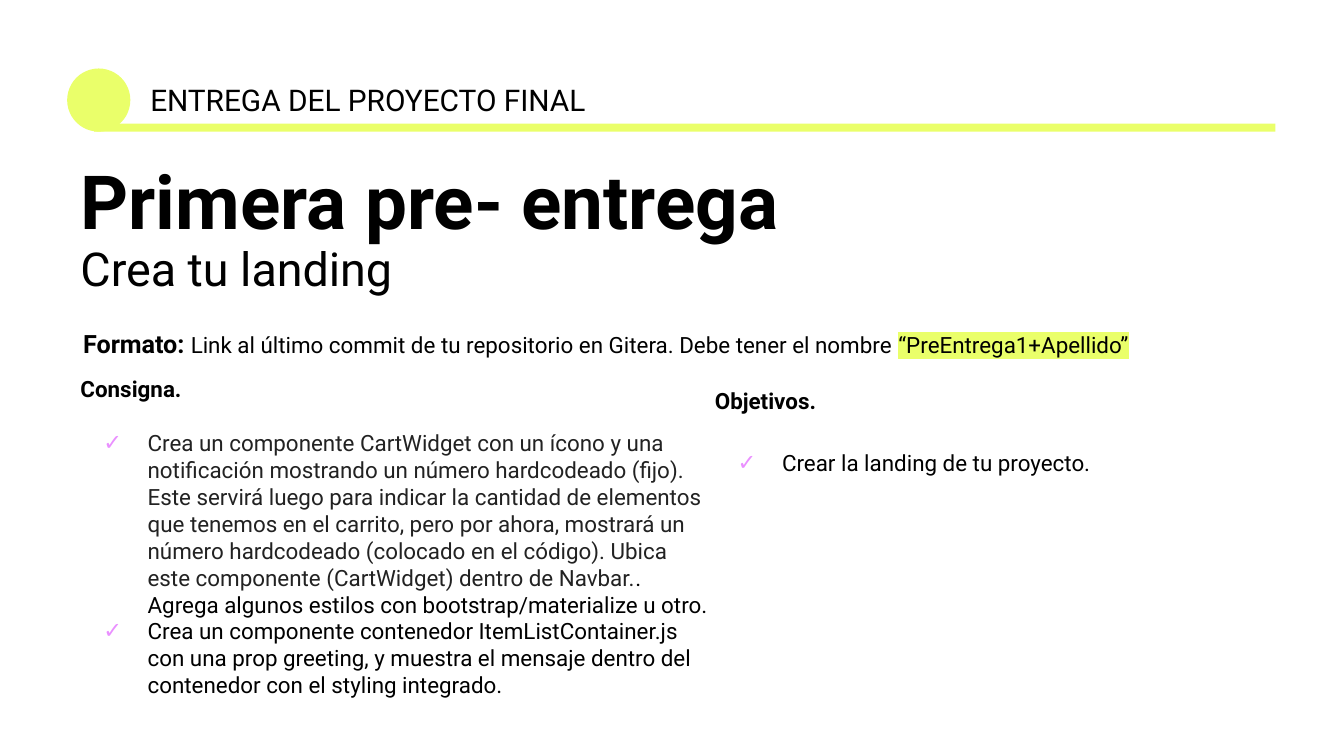
from dataclasses import dataclass

from lxml import etree
from pptx import Presentation
from pptx.dml.color import RGBColor as RGB
from pptx.enum.shapes import MSO_SHAPE as SHAPE
from pptx.enum.text import MSO_AUTO_SIZE as FIT
from pptx.oxml.ns import qn
from pptx.util import Inches, Pt


@dataclass(frozen=True)
class Theme:
    font: str = "Roboto"
    lime: str = "EAFF6A"
    violet: str = "EA90FF"
    black: str = "000000"
    gray: str = "222222"
    title: float = 40
    subtitle: float = 25
    header: float = 16
    label: float = 13.5
    body: float = 12


T = Theme()


def add_color(parent, tag, color):
    el = etree.SubElement(parent, qn(tag))
    etree.SubElement(el, qn("a:srgbClr")).set("val", color)
    return el


def add_run(p, text, size=T.body, color=T.black, bold=False, highlight=None):
    r = p.add_run()
    r.text = text
    r.font.size = Pt(size)
    r.font.bold = bold
    r.font.color.rgb = RGB.from_string(color)
    if highlight:
        add_color(r.font._element, "a:highlight", highlight)
    r.font.name = T.font
    return r


def add_bullet(p):
    pPr = p._p.get_or_add_pPr()
    pPr.set("marL", str(Inches(0.5)))
    pPr.set("indent", str(Inches(-0.33)))
    add_color(pPr, "a:buClr", T.violet)
    etree.SubElement(pPr, qn("a:buFont")).set("typeface", T.font)
    etree.SubElement(pPr, qn("a:buChar")).set("char", "✓")


class SlideBuilder:
    def __init__(self, slide, theme):
        self.slide = slide
        self.theme = theme

    def shape(self, kind, x, y, w, h):
        sp = self.slide.shapes.add_shape(
            kind, Inches(x), Inches(y), Inches(w), Inches(h))
        sp.shadow.inherit = False
        sp.fill.solid()
        sp.fill.fore_color.rgb = RGB.from_string(self.theme.lime)
        sp.line.fill.background()
        return sp

    def text(self, x, y, w, h, paragraphs, spacing=None):
        sp = self.slide.shapes.add_textbox(
            Inches(x), Inches(y), Inches(w), Inches(h))
        tf = sp.text_frame
        tf.word_wrap = True
        tf.auto_size = FIT.SHAPE_TO_FIT_TEXT
        tf.margin_left = tf.margin_right = Inches(0.1)
        tf.margin_top = tf.margin_bottom = Inches(0.1)
        for i, runs in enumerate(paragraphs):
            p = tf.add_paragraph() if i else tf.paragraphs[0]
            if spacing:
                p.line_spacing = spacing
            for text, style in runs:
                add_run(p, text, **style)
        return tf

    def checklist(self, x, y, w, h, heading, items, gap):
        tf = self.text(x, y, w, h, [[(heading, dict(bold=True))], *items])
        for p in tf.paragraphs[1:]:
            add_bullet(p)
        tf.paragraphs[1].space_before = Pt(gap)
        return tf


def main():
    prs = Presentation()
    prs.slide_width = Inches(10)
    prs.slide_height = prs.slide_width * 9 // 16
    s = SlideBuilder(prs.slides.add_slide(prs.slide_layouts[6]), T)

    s.shape(SHAPE.OVAL, 0.5, 0.51, 0.47, 0.47)
    s.text(0.5, 1.13, 7.99, 1.19, [
        [("Primera pre- entrega", dict(size=T.title, bold=True))],
        [("Crea tu landing", dict(size=T.subtitle))],
    ], spacing=0.9)
    s.text(1.02, 0.51, 3.5, 0.47, [
        [("ENTREGA DEL PROYECTO FINAL", dict(size=T.header))],
    ])
    s.checklist(0.5, 2.69, 4.92, 3.27, "Consigna.", [
        [("Crea un componente CartWidget con un ícono y una notificación "
          "mostrando un número hardcodeado (fijo). Este servirá luego para "
          "indicar la cantidad de elementos que tenemos en el carrito, pero "
          "por ahora, mostrará un número hardcodeado (colocado en el código). "
          "Ubica este componente (CartWidget) dentro de Navbar.",
          dict(color=T.gray)),
         (". Agrega algunos estilos con bootstrap/materialize u otro.", {})],
        [("Crea un componente contenedor ItemListContainer.js con una prop "
          "greeting, y muestra el mensaje dentro del contenedor con el "
          "styling integrado.", {})],
    ], gap=14.8)
    s.shape(SHAPE.RECTANGLE, 0.7, 0.92, 8.79, 0.06)
    s.checklist(5.22, 2.78, 4.02, 1.05, "Objetivos.", [
        [("Crear la landing de tu proyecto.", {})],
    ], gap=18.8)
    s.text(0.52, 2.34, 8.72, 0.43, [[
        ("Formato: ", dict(size=T.label, bold=True)),
        ("Link al último commit de tu repositorio en Gitera. "
         "Debe tener el nombre ", {}),
        ("“PreEntrega1+Apellido”", dict(highlight=T.lime)),
    ]])

    prs.save("out.pptx")


if __name__ == "__main__":
    main()
